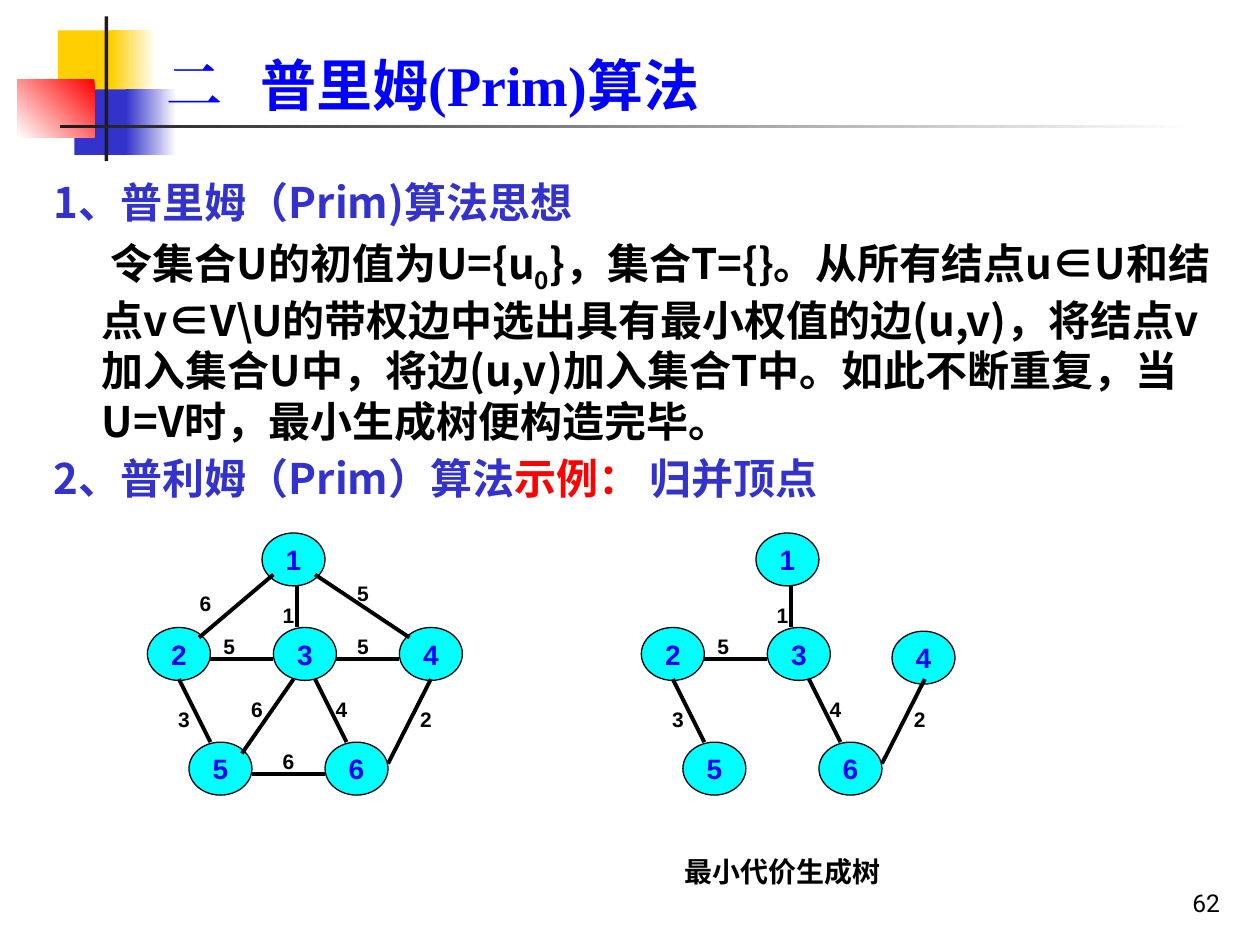
import dataclasses
import typing

import lxml.etree
import pptx
import pptx.dml.color
import pptx.enum.dml
import pptx.enum.shapes
import pptx.enum.text
import pptx.oxml.ns
import pptx.util

Inches = pptx.util.Inches
Pt = pptx.util.Pt
ALIGN = pptx.enum.text.PP_ALIGN
ANCHOR = pptx.enum.text.MSO_ANCHOR
SHAPE = pptx.enum.shapes.MSO_SHAPE

HUES = {
    "white": "FFFFFF", "gold": "FFCF01", "indigo": "3333CC", "red": "FF0000",
    "ink": "1C1C1C", "black": "000000", "blue": "0000FF", "cyan": "00FFFF",
}
CJK = "Noto Sans CJK SC"
SERIF = "Times New Roman"
SHIFT = 3.92


class Point(typing.NamedTuple):
    x: float
    y: float


class Box(typing.NamedTuple):
    x: float
    y: float
    w: float
    h: float


@dataclasses.dataclass(frozen=True)
class Band:
    box: Box
    start: str
    end: str = ""
    angle: int = 180


@dataclasses.dataclass(frozen=True)
class Node:
    name: str
    at: Point


@dataclasses.dataclass(frozen=True)
class Edge:
    weight: str
    start: Point
    end: Point
    label: Point
    kept: bool = False


@dataclasses.dataclass(frozen=True)
class Piece:
    text: str
    hue: str
    font: str = CJK
    base: int = 0


@dataclasses.dataclass(frozen=True)
class Style:
    size: int
    bold: bool = True
    align: typing.Any = ALIGN.LEFT
    font: str = ""
    hue: str = ""


BANDS = [
    Band(Box(0.46, 0.24, 0.48, 0.52), "gold"),
    Band(Box(0.88, 0.24, 0.36, 0.52), "white", "gold"),
    Band(Box(0.59, 0.71, 0.46, 0.52), "indigo"),
    Band(Box(1, 0.71, 0.4, 0.52), "white", "indigo"),
    Band(Box(0.14, 0.63, 0.61, 0.46), "red", "white", 225),
    Band(Box(0.83, 0.13, 0.03, 1.15), "ink"),
    Band(Box(0.48, 0.99, 9, 0.03), "white", "ink"),
]
NODES = [
    Node("1", Point(2.08, 4.23)), Node("2", Point(1.17, 4.98)),
    Node("3", Point(2.17, 4.98)), Node("4", Point(3.17, 4.98)),
    Node("5", Point(1.5, 5.89)), Node("6", Point(2.58, 5.89)),
]
EDGES = [
    Edge("6", Point(1.58, 5.06), Point(2.17, 4.56), Point(1.42, 4.64)),
    Edge("1", Point(2.36, 4.64), Point(2.36, 4.98), Point(2.08, 4.73), True),
    Edge("5", Point(3.25, 5.06), Point(2.5, 4.56), Point(2.67, 4.56)),
    Edge("5", Point(1.67, 5.23), Point(2.17, 5.23), Point(1.61, 4.98), True),
    Edge("5", Point(2.67, 5.23), Point(3.17, 5.23), Point(2.67, 4.98)),
    Edge("3", Point(1.42, 5.39), Point(1.67, 5.89), Point(1.25, 5.56), True),
    Edge("6", Point(1.92, 5.98), Point(2.33, 5.39), Point(1.83, 5.48)),
    Edge("4", Point(2.5, 5.39), Point(2.75, 5.89), Point(2.5, 5.48), True),
    Edge("2", Point(3.08, 6.06), Point(3.42, 5.39), Point(3.17, 5.56), True),
    Edge("6", Point(2, 6.14), Point(2.58, 6.14), Point(2.08, 5.89)),
]
TITLE = [
    Piece("二\t", "blue", SERIF), Piece("普里姆", "blue"),
    Piece("(Prim)", "blue", SERIF), Piece("算法", "blue"),
]
IDEA = [Piece("1、普里姆（Prim)算法思想", "indigo")]
STEPS = [
    Piece("令集合U的初值为U={u", "black"),
    Piece("0", "black", base=-25000),
    Piece("}，集合T={}。从所有结点u∈U和结点v∈V\\U的带权边中选出具有最小权值的边(u,v)，"
          "将结点v加入集合U中，将边(u,v)加入集合T中。如此不断重复，"
          "当U=V时，最小生成树便构造完毕。", "black"),
]
DEMO = [
    Piece("2、普利姆（Prim）算法", "indigo"), Piece("示例： ", "red"),
    Piece("归并顶点", "indigo"),
]


def tint(name: str) -> pptx.dml.color.RGBColor:
    """Return the named colour."""
    return pptx.dml.color.RGBColor.from_string(HUES[name])


def face(font: typing.Any, name: str) -> None:
    """Set the Latin and East Asian typeface of a font."""
    font.name = name
    east = lxml.etree.SubElement(font._element, pptx.oxml.ns.qn("a:ea"))
    east.set("typeface", name)


def write(para: typing.Any, pieces: list[Piece], style: Style) -> None:
    """Fill a paragraph with styled runs."""
    para.alignment = style.align
    para.font.size = Pt(style.size)
    para.font.bold = style.bold
    if style.hue:
        para.font.color.rgb = tint(style.hue)
    if style.font:
        face(para.font, style.font)
    for piece in pieces:
        run = para.add_run()
        run.text = piece.text
        if not style.hue:
            run.font.color.rgb = tint(piece.hue)
        if not style.font:
            face(run.font, piece.font)
        if piece.base:
            run.font._element.set("baseline", str(piece.base))


def indent(para: typing.Any, left: float, first: float) -> None:
    """Set the left margin and first-line indent of a paragraph."""
    props = para._p.get_or_add_pPr()
    props.set("marL", str(Inches(left)))
    props.set("indent", str(Inches(first)))


def stop(para: typing.Any, place: float) -> None:
    """Add a left tab stop to a paragraph."""
    props = para._p.get_or_add_pPr()
    tabs = lxml.etree.SubElement(props, pptx.oxml.ns.qn("a:tabLst"))
    tab = lxml.etree.SubElement(tabs, pptx.oxml.ns.qn("a:tab"))
    tab.set("pos", str(Inches(place)))
    tab.set("algn", "l")


def frame(slide: typing.Any, box: Box, anchor: typing.Any = ANCHOR.TOP) -> typing.Any:
    """Add a wrapping text box and return its text frame."""
    text = slide.shapes.add_textbox(*map(Inches, box)).text_frame
    text.word_wrap = True
    text.vertical_anchor = anchor
    return text


def band(slide: typing.Any, item: Band) -> None:
    """Draw one plain or graded block of the header."""
    shape = slide.shapes.add_shape(SHAPE.RECTANGLE, *map(Inches, item.box))
    shape.shadow.inherit = False
    shape.line.fill.background()
    if not item.end:
        shape.fill.solid()
        shape.fill.fore_color.rgb = tint(item.start)
        return
    shape.fill.gradient()
    shape.fill.gradient_angle = item.angle
    for mark, hue in zip(shape.fill.gradient_stops, (item.start, item.end)):
        mark.color.rgb = tint(hue)


def graph(slide: typing.Any, nodes: list[Node], edges: list[Edge], shift: float = 0) -> None:
    """Draw a weighted graph moved right by the shift."""
    for node in nodes:
        box = Box(node.at.x + shift, node.at.y, 0.5, 0.42)
        oval = slide.shapes.add_shape(SHAPE.OVAL, *map(Inches, box))
        oval.shadow.inherit = False
        oval.fill.solid()
        oval.fill.fore_color.rgb = tint("cyan")
        oval.line.color.rgb = tint("black")
        oval.line.width = Pt(0.75)
        text = oval.text_frame
        text.word_wrap = False
        text.vertical_anchor = ANCHOR.MIDDLE
        write(text.paragraphs[0], [Piece(node.name, "blue")],
              Style(16, True, ALIGN.CENTER, "Arial", "blue"))
    for edge in edges:
        ends = (edge.start.x + shift, edge.start.y, edge.end.x + shift, edge.end.y)
        line = slide.shapes.add_connector(
            pptx.enum.shapes.MSO_CONNECTOR.STRAIGHT, *map(Inches, ends))
        line.line.color.rgb = tint("black")
        line.line.width = Pt(2.25)
        lxml.etree.SubElement(line._element.spPr, pptx.oxml.ns.qn("a:effectLst"))
        text = frame(slide, Box(edge.label.x + shift, edge.label.y, 0.42, 0.3))
        write(text.paragraphs[0], [Piece(edge.weight, "black")],
              Style(12, True, ALIGN.CENTER, "Arial", "black"))


def main() -> None:
    """Build the slide on Prim's algorithm."""
    deck = pptx.Presentation()
    deck.slide_width, deck.slide_height = Inches(10), Inches(7.5)
    slide = deck.slides.add_slide(deck.slide_layouts[6])
    for item in BANDS:
        band(slide, item)

    title = frame(slide, Box(1.22, 0.28, 7.36, 0.7), ANCHOR.BOTTOM).paragraphs[0]
    stop(title, 0.75)
    write(title, TITLE, Style(32))

    body = frame(slide, Box(0.33, 1.35, 9.42, 2.2))
    head, steps = body.paragraphs[0], body.add_paragraph()
    indent(head, 0.38, -0.38)
    write(head, IDEA, Style(24, font=CJK, hue="indigo"))
    indent(steps, 0.38, 0.07)
    steps.space_before = Pt(6)
    write(steps, STEPS, Style(24, font=CJK, hue="black"))

    demo = frame(slide, Box(0.33, 3.54, 7.03, 0.5)).paragraphs[0]
    write(demo, DEMO, Style(24, font=CJK))

    graph(slide, NODES, EDGES)
    tree = [dataclasses.replace(node, at=Point(3.16, 5.01)) if node.name == "4" else node
            for node in NODES]
    graph(slide, tree, [edge for edge in EDGES if edge.kept], SHIFT)

    note = frame(slide, Box(5.25, 6.73, 1.92, 0.37)).paragraphs[0]
    write(note, [Piece("最小代价生成树", "black")],
          Style(16, True, ALIGN.CENTER, "Arial", "black"))
    page = frame(slide, Box(7.7, 6.83, 2.08, 0.5), ANCHOR.BOTTOM).paragraphs[0]
    write(page, [Piece("62", "black")], Style(14, False, ALIGN.RIGHT, "Roboto", "black"))
    deck.save("out.pptx")


if __name__ == "__main__":
    main()
